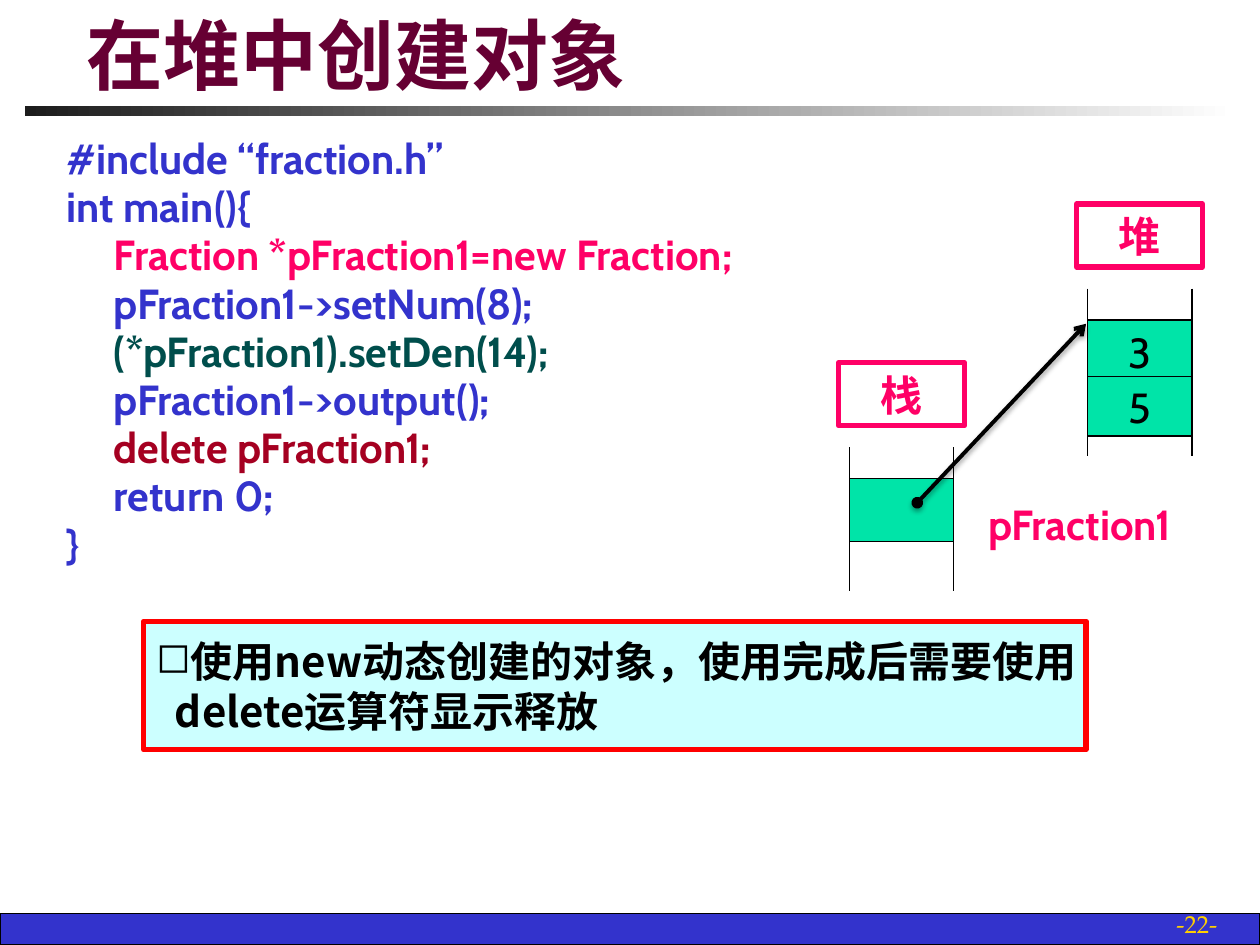
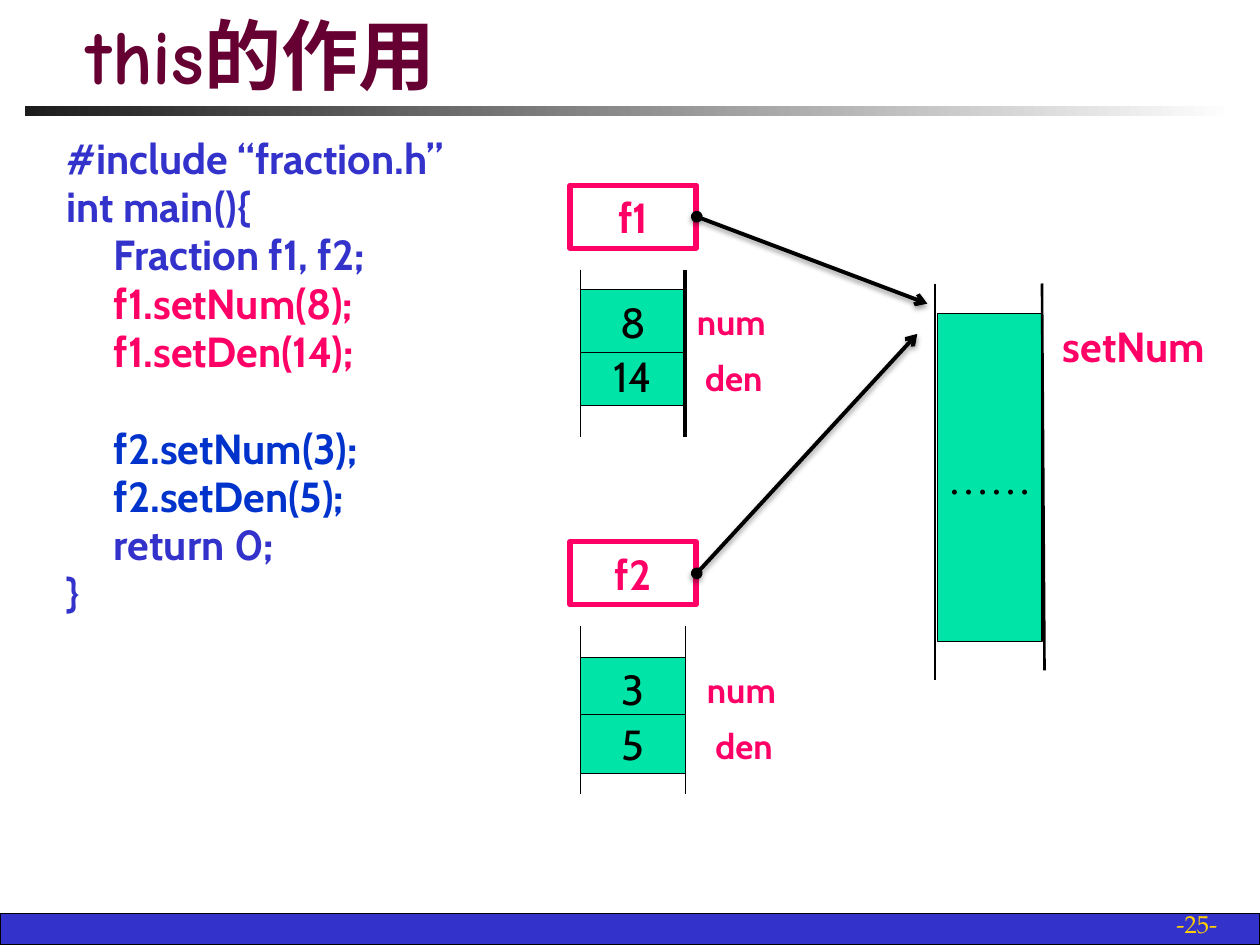
import pptx
import pptx.dml.color
import pptx.enum.shapes
import pptx.enum.text
import pptx.oxml
import pptx.oxml.ns
import pptx.util
import lxml.etree

RGB = pptx.dml.color.RGBColor
ANCHOR = pptx.enum.text.MSO_ANCHOR
ALIGN = pptx.enum.text.PP_ALIGN
RECTANGLE = pptx.enum.shapes.MSO_SHAPE.RECTANGLE

# Colours
BLACK = RGB(0x00, 0x00, 0x00)
WHITE = RGB(0xFF, 0xFF, 0xFF)
CHARCOAL = RGB(0x1C, 0x1C, 0x1C)
BLUE = RGB(0x33, 0x33, 0xCC)
DEEP_BLUE = RGB(0x00, 0x33, 0xCC)
PINK = RGB(0xFF, 0x00, 0x66)
TEAL = RGB(0x00, 0x4E, 0x4C)
CRIMSON = RGB(0xA5, 0x00, 0x21)
PLUM = RGB(0x66, 0x00, 0x33)
GOLD = RGB(0xFF, 0xCF, 0x01)
MINT = RGB(0x00, 0xE4, 0xA8)
PALE_CYAN = RGB(0xCC, 0xFF, 0xFF)
RED = RGB(0xFF, 0x00, 0x00)

# Fonts
CABIN = "Cabin"
HAN = "Noto Sans CJK SC"

# Grid of 100 columns by 75 rows
COLUMNS, ROWS = 100, 75
CELL_WIDTH = 8.3
LINE_GAP = 4.5
BLANK_LINE = 32.3

ARROW_SHADOW = (
    '<a:effectLst xmlns:a="http://schemas.openxmlformats.org/drawingml/2006/main">'
    '<a:outerShdw blurRad="39400" dist="20300" dir="5400000" rotWithShape="0">'
    '<a:srgbClr val="000000"><a:alpha val="38000"/></a:srgbClr>'
    '</a:outerShdw></a:effectLst>'
)


def child(parent, tag, **attributes):
    return lxml.etree.SubElement(parent, pptx.oxml.ns.qn(tag), attributes)


class Lesson:
    """Holds the shared style and the slide being drawn."""

    def __init__(self):
        self.deck = pptx.Presentation()
        self.deck.slide_width = pptx.util.Inches(10)
        self.deck.slide_height = pptx.util.Inches(7.5)
        self.slide = None

    def x(self, columns):
        return round(self.deck.slide_width * columns / COLUMNS)

    def y(self, rows):
        return round(self.deck.slide_height * rows / ROWS)

    def place(self, left, top, width, height):
        return self.x(left), self.y(top), self.x(width), self.y(height)

    # Text
    def span(self, para, text, size=24, color=BLACK, bold=False, font=CABIN):
        span = para.add_run()
        span.text = text
        span.font.size = pptx.util.Pt(size)
        span.font.bold = bold
        span.font.name = font
        span.font.color.rgb = color
        child(span.font._element, "a:ea", typeface=HAN)

    def frame(self, shape, anchor=ANCHOR.MIDDLE, wrap=False):
        frame = shape.text_frame
        frame.auto_size = pptx.enum.text.MSO_AUTO_SIZE.NONE
        frame.word_wrap = wrap
        frame.vertical_anchor = anchor
        return frame

    def centred(self, shape, text, **style):
        para = self.frame(shape).paragraphs[0]
        para.alignment = ALIGN.CENTER
        self.span(para, text, **style)

    def textbox(self, *area):
        return self.slide.shapes.add_textbox(*self.place(*area))

    def label(self, left, top, width, text, size=24):
        self.centred(self.textbox(left, top, width, 5), text,
                     size=size, color=PINK, bold=True)

    # Shapes and lines
    def box(self, *area, fill=None, line=BLACK, weight=0.75):
        box = self.slide.shapes.add_shape(RECTANGLE, *self.place(*area))
        box.shadow.inherit = False
        if fill is None:
            box.fill.background()
        else:
            box.fill.solid()
            box.fill.fore_color.rgb = fill
        if line is None:
            box.line.fill.background()
        else:
            box.line.color.rgb = line
            box.line.width = pptx.util.Pt(weight)
        return box

    def line(self, x1, y1, x2, y2, weight=0.75):
        line = self.slide.shapes.add_connector(
            pptx.enum.shapes.MSO_CONNECTOR.STRAIGHT,
            self.x(x1), self.y(y1), self.x(x2), self.y(y2))
        line.line.color.rgb = BLACK
        line.line.width = pptx.util.Pt(weight)
        child(line._element.spPr, "a:effectLst")
        return line

    def arrow(self, *ends):
        arrow = self.line(*ends, weight=2.25)
        outline = arrow.line._get_or_add_ln()
        child(outline, "a:headEnd", type="oval")
        child(outline, "a:tailEnd", type="arrow")
        properties = arrow._element.spPr
        properties.remove(properties.find(pptx.oxml.ns.qn("a:effectLst")))
        properties.append(pptx.oxml.parse_xml(ARROW_SHADOW))

    # Parts common to the slides
    def start(self, title, number):
        self.slide = self.deck.slides.add_slide(self.deck.slide_layouts[5])
        self.box(0, 72.5, 100, 2.5, fill=BLUE)
        rule = self.box(2, 8.4, 96.1, 0.8, line=None)
        rule.fill.gradient()
        rule.fill.gradient_angle = 0
        for stop, color, position in zip(rule.fill.gradient_stops,
                                         (CHARCOAL, WHITE), (0, 1)):
            stop.color.rgb = color
            stop.position = position

        para = self.frame(self.textbox(76.8, 71.7, 20.8, 3.3),
                          ANCHOR.BOTTOM, wrap=True).paragraphs[0]
        para.alignment = ALIGN.RIGHT
        self.span(para, f"-{number}-", 14, GOLD, font="TeX Gyre Pagella")

        heading = self.slide.shapes.title
        heading.left, heading.top, heading.width, heading.height = self.place(
            5.9, 1.3, 87.2, 7.1)
        para = self.frame(heading, ANCHOR.BOTTOM, wrap=True).paragraphs[0]
        para.alignment = ALIGN.LEFT
        self.span(para, title, 44, PLUM, True, "Comic Neue")

    def code(self, statements):
        """Wraps (text, colour, gap) statements in a main function."""
        lines = [("#include “fraction.h”", BLUE, 0, 0),
                 ("int main(){", BLUE, LINE_GAP, 0)]
        lines += [(*statement, 3.75) for statement in statements]
        lines += [("return 0;", BLUE, LINE_GAP, 3.75), ("}", BLUE, LINE_GAP, 0)]
        frame = self.frame(self.textbox(4.3, 10.8, 91.4, 56.7),
                           ANCHOR.TOP, wrap=True)
        for index, (text, color, gap, indent) in enumerate(lines):
            para = frame.add_paragraph() if index else frame.paragraphs[0]
            para._p.get_or_add_pPr().set("marL", str(self.x(indent)))
            para.line_spacing = 0.8
            para.space_before = pptx.util.Pt(gap)
            self.span(para, text, color=color, bold=True)

    def memory(self, left, top, name, cells, depth=20, right_rail=0.75):
        """Draws a name tag over cells given as (offset, height, text)."""
        right = left + CELL_WIDTH
        for offset, height, text in cells:
            cell = self.box(left, top + offset, CELL_WIDTH, height, fill=MINT)
            if text:
                self.centred(cell, text)
        for column, weight in ((left, 0.75), (right, right_rail)):
            self.line(column, top + 6.7, column, top + depth, weight)
        tag = self.box(left - 0.85, top, 10, 5, line=PINK, weight=3)
        self.centred(tag, name, color=PINK, bold=True)

    def members(self, left, top):
        self.label(left, top, 6.7, "num", 20)
        self.label(left + 0.2, top + 4.5, 6.7, "den", 20)

    def callout(self, bulleted, continued):
        box = self.box(11.4, 49.3, 74.8, 10.2,
                       fill=PALE_CYAN, line=RED, weight=3)
        frame = self.frame(box)
        first, second = frame.paragraphs[0], frame.add_paragraph()
        for para, text, indent in ((first, bulleted, 0), (second, continued, 1.5)):
            para.alignment = ALIGN.LEFT
            properties = para._p.get_or_add_pPr()
            properties.set("marL", str(self.x(indent)))
            properties.set("indent", "0")
            if para is first:
                child(properties, "a:buChar", char="◻")
            self.span(para, text, bold=True, font=HAN)


def main():
    lesson = Lesson()
    fraction_cells = [(9.2, 5, "3"), (13.7, 4.7, "5")]

    # Creating an object on the heap
    lesson.start("在堆中创建对象", 22)
    lesson.code([
        ("Fraction *pFraction1=new Fraction;", PINK, LINE_GAP),
        ("pFraction1->setNum(8);", BLUE, LINE_GAP),
        ("(*pFraction1).setDen(14);", TEAL, LINE_GAP),
        ("pFraction1->output();", BLUE, LINE_GAP),
        ("delete pFraction1;", CRIMSON, LINE_GAP),
    ])
    lesson.callout("使用new动态创建的对象，使用完成后需要使用",
                   "delete运算符显示释放")
    lesson.memory(86.3, 16.2, "堆", fraction_cells)
    lesson.memory(67.4, 28.8, "栈", [(9.2, 5, None)], depth=18.1)
    lesson.label(80.7, 39.1, 10, "pFraction1")
    lesson.arrow(72.8, 39.9, 86.2, 25.7)

    # What "this" is for
    lesson.start("this的作用", 25)
    lesson.code([
        ("Fraction f1, f2;", BLUE, LINE_GAP),
        ("f1.setNum(8);", PINK, LINE_GAP),
        ("f1.setDen(14);", PINK, LINE_GAP),
        ("f2.setNum(3);", DEEP_BLUE, BLANK_LINE),
        ("f2.setDen(5);", DEEP_BLUE, LINE_GAP),
    ])
    function = lesson.box(74.4, 24.9, CELL_WIDTH, 26, fill=MINT)
    lesson.centred(function, "……", font="Times New Roman")
    lesson.label(85.9, 24.9, 8.2, "setNum")
    lesson.line(74.2, 22.5, 74.2, 54, 1.5)
    lesson.line(82.7, 22.5, 82.9, 53.2, 1.5)

    lesson.memory(46.1, 14.7, "f1", [(12.8, 4.7, "14"), (8.3, 5, "8")],
                  right_rail=2.25)
    lesson.members(54.7, 23)
    lesson.memory(46.1, 43, "f2", fraction_cells)
    lesson.members(55.5, 52.2)
    lesson.arrow(55.3, 17.2, 73.6, 24.1)
    lesson.arrow(55.3, 45.5, 72.8, 26.5)

    lesson.deck.save("out.pptx")


if __name__ == "__main__":
    main()
